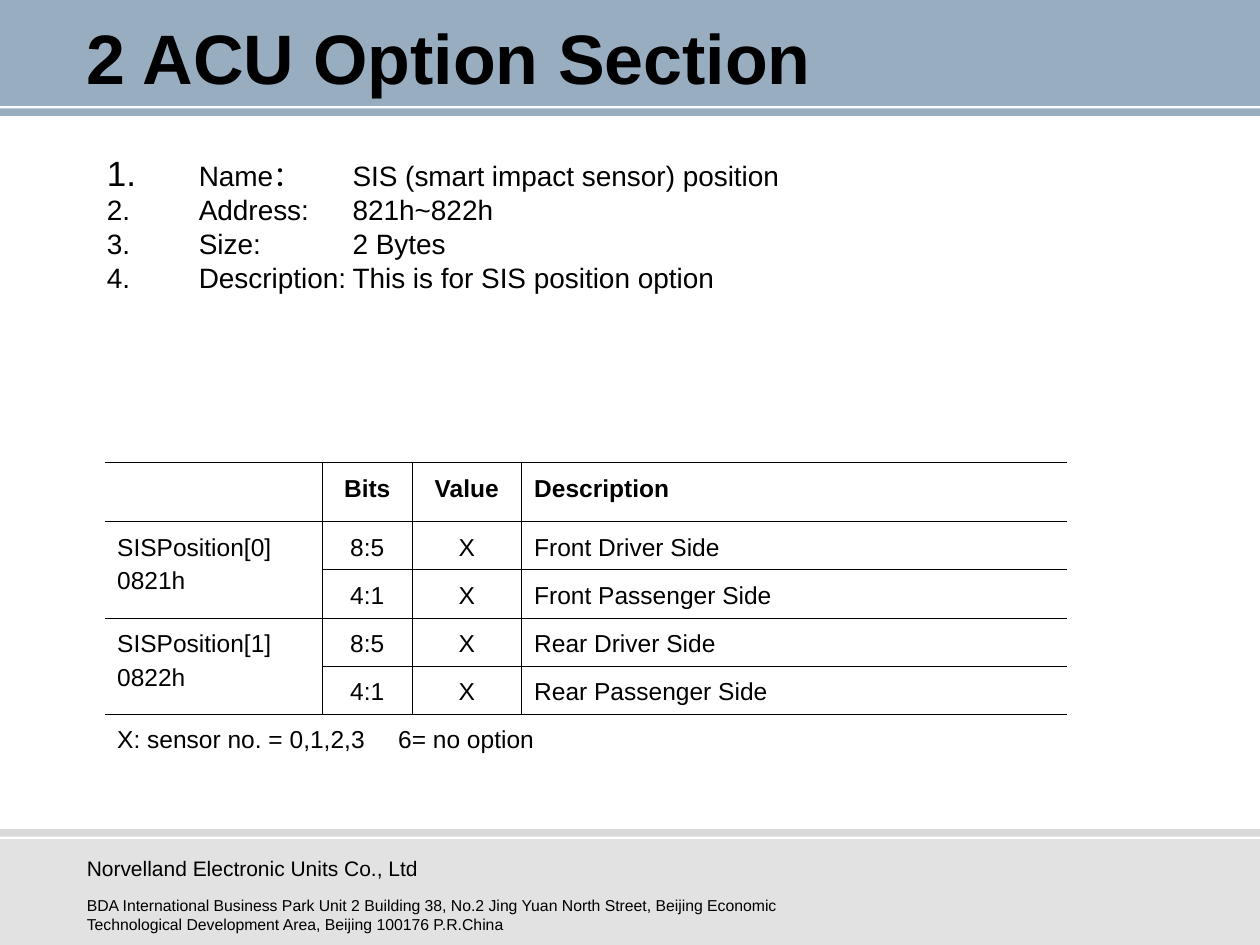
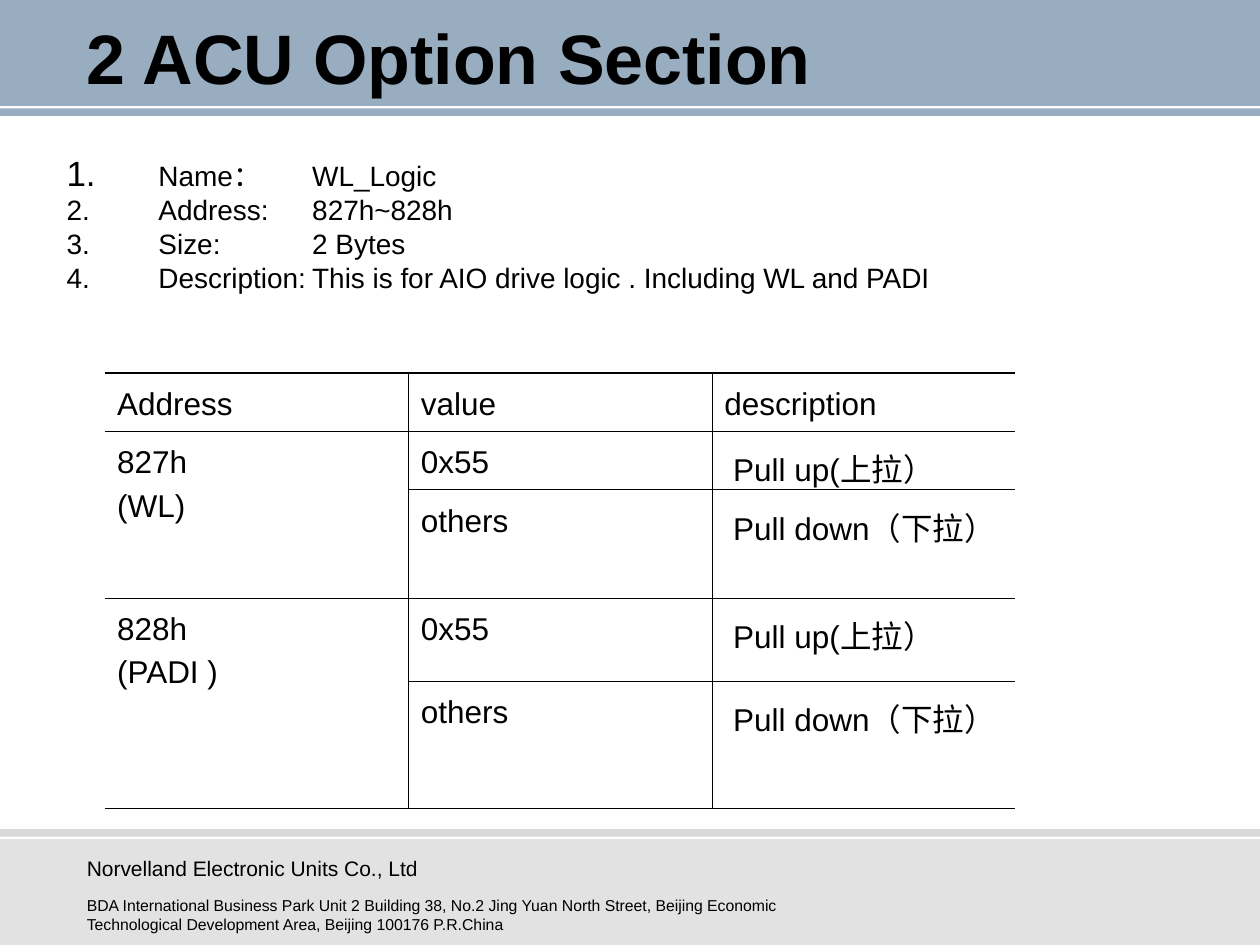
from dataclasses import dataclass

from lxml import etree
from pptx import Presentation
from pptx.dml.color import RGBColor
from pptx.enum.shapes import MSO_SHAPE
from pptx.enum.text import MSO_ANCHOR, PP_ALIGN
from pptx.oxml.ns import qn
from pptx.util import Emu, Inches, Pt

RECTANGLE = MSO_SHAPE.RECTANGLE
LEFT, CENTER = PP_ALIGN.LEFT, PP_ALIGN.CENTER
TOP, MIDDLE = MSO_ANCHOR.TOP, MSO_ANCHOR.MIDDLE
TITLE_ONLY = 5
COLUMNS, ROWS = 100, 75
SLIDE_WIDTH, SLIDE_HEIGHT = Inches(10), Inches(7.5)

TITLE = "2 ACU Option Section"
COMPANY = "Norvelland Electronic Units Co., Ltd"
ADDRESS = ("BDA International Business Park Unit 2 Building 38, No.2 Jing Yuan North Street, "
           "Beijing Economic Technological Development Area, Beijing 100176 P.R.China")


@dataclass(frozen=True)
class Theme:
    font: str = "Arial"
    ink: str = "000000"
    navy: str = "003366"
    silver: str = "C0C0C0"
    title: int = 40
    fields: int = 16
    company: int = 12
    address: int = 9
    thin: float = 0.45
    thick: float = 1.08


THEME = Theme()


def grid(left, top, width, height):
    """Turn grid columns and rows into slide lengths."""
    column, row = SLIDE_WIDTH / COLUMNS, SLIDE_HEIGHT / ROWS
    return [Emu(round(value)) for value in
            (left * column, top * row, width * column, height * row)]


def add_element(parent, tag, **attributes):
    element = etree.SubElement(parent, qn(tag))
    for name, value in attributes.items():
        element.set(name, str(value))
    return element


def number_paragraph(para, hanging, scale):
    """Give a paragraph an automatic number, sized in percent of its text."""
    properties = para._p.get_or_add_pPr()
    properties.set("marL", str(Inches(hanging)))
    properties.set("indent", str(-Inches(hanging)))
    add_element(properties, "a:buSzPct", val=scale * 1000)
    add_element(properties, "a:buFont", typeface=THEME.font)
    add_element(properties, "a:buAutoNum", type="arabicPeriod")


def add_tab_stop(para, position):
    stops = add_element(para._p.get_or_add_pPr(), "a:tabLst")
    add_element(stops, "a:tab", pos=Inches(position), algn="l")


def write(frame, text, size, bold=False, align=LEFT, anchor=TOP, gap=0,
          line_spacing=None, tab=None, hanging=None, first_scale=100):
    """Fill a text frame, one paragraph per line of text."""
    frame.word_wrap = True
    frame.vertical_anchor = anchor
    for index, line in enumerate(text.split("\n")):
        para = frame.add_paragraph() if index else frame.paragraphs[0]
        para.alignment = align
        para.space_before = Pt(gap if index else 0)
        if line_spacing:
            para.line_spacing = line_spacing
        if hanging:
            number_paragraph(para, hanging, 100 if index else first_scale)
        if tab:
            add_tab_stop(para, tab)
        span = para.add_run()
        span.text = line
        span.font.name = THEME.font
        span.font.size = Pt(size)
        span.font.bold = bold
        span.font.color.rgb = RGBColor.from_string(THEME.ink)


def add_text(page, place, text, **style):
    box = page.shapes.add_textbox(*grid(*place))
    write(box.text_frame, text, **style)
    return box


def add_band(page, top, height, color, opacity):
    band = page.shapes.add_shape(RECTANGLE, *grid(0, top, COLUMNS, height))
    band.shadow.inherit = False
    band.line.fill.background()
    band.fill.solid()
    band.fill.fore_color.rgb = RGBColor.from_string(color)
    color_element = band.element.spPr.find(qn("a:solidFill"))[0]
    add_element(color_element, "a:alpha", val=opacity * 1000)
    return band


def furnish_layout(page):
    """Build the bands and the address, then hand them to the page's layout."""
    shared = [add_band(page, *band) for band in (
        (0, 8.4, THEME.navy, 40),
        (66.6, 8.4, THEME.silver, 46),
        (65.8, 0.6, THEME.silver, 60),
        (8.6, 0.6, THEME.navy, 40),
    )]
    shared.append(add_text(page, (5.9, 70.6, 63.8, 4.4), ADDRESS, size=THEME.address))
    for shape in shared:
        page.slide_layout.shapes.element.append(shape.element)


def add_page(deck):
    page = deck.slides.add_slide(deck.slide_layouts[TITLE_ONLY])
    title = page.shapes.title
    title.left, title.top, title.width, title.height = grid(5.9, 1.3, 88.2, 6.3)
    write(title.text_frame, TITLE, size=THEME.title, bold=True, anchor=MIDDLE)
    add_text(page, (5.9, 67.4, 63.8, 3.1), COMPANY, size=THEME.company)
    return page


def add_fields(page, place, fields):
    """Add the numbered list of labels with their values in a second column."""
    text = "\n".join(f"{label}\t{value}" for label, value in fields)
    add_text(page, place, text, size=THEME.fields, gap=4, line_spacing=0.8,
             tab=1.95, hanging=0.73, first_scale=125)


def set_borders(cell, widths):
    """Draw the sides named in widths (L, R, T, B) and clear the others."""
    properties = cell._tc.get_or_add_tcPr()
    for side in "LRTB":
        line = add_element(properties, f"a:ln{side}", w=Pt(widths.get(side, 0)))
        if side in widths:
            fill = add_element(line, "a:solidFill")
            add_element(fill, "a:srgbClr", val=THEME.ink)
        else:
            add_element(line, "a:noFill")


def add_grid_table(page, place, widths, heights, rows, spans, size, gap, top_line,
                   centered=(), bold_header=False, note=False, tab=None, inset=None):
    """Add an open-sided ruled table; a note row has a line only above it."""
    table = page.shapes.add_table(len(rows), len(widths), *grid(*place)).table
    table.first_row = table.horz_banding = False
    for column, width in zip(table.columns, widths):
        column.width = Inches(width)
    for row, height in zip(table.rows, heights):
        row.height = Inches(height)
    for first_row, first_column, last_row, last_column in spans:
        table.cell(first_row, first_column).merge(table.cell(last_row, last_column))
    last = len(widths) - 1
    for r, row in enumerate(rows):
        is_note = note and r == len(rows) - 1
        for c, text in enumerate(row):
            cell = table.cell(r, c)
            borders = {"T": THEME.thin if r else top_line}
            if not is_note:
                borders["B"] = THEME.thin
                if c > 0:
                    borders["L"] = THEME.thin
                if c < last:
                    borders["R"] = THEME.thin
            set_borders(cell, borders)
            cell.fill.background()
            if text is None:
                continue
            if inset and r and c == last:
                cell.margin_left = Inches(inset)
            cell.margin_top = Inches(0.05) + Pt(gap)
            write(cell.text_frame, text, size=size, gap=gap,
                  bold=bold_header and r == 0,
                  align=CENTER if c in centered else LEFT,
                  tab=tab if is_note else None)


def add_sensor_position_page(deck):
    page = add_page(deck)
    add_fields(page, (7.5, 12.6, 84.4, 11.8), [
        ("Name：", "SIS (smart impact sensor) position"),
        ("Address:", "821h~822h"),
        ("Size:", "2 Bytes"),
        ("Description:", "This is for SIS position option"),
    ])
    rows = [
        ("", "Bits", "Value", "Description"),
        ("SISPosition[0]\n0821h", "8:5", "X", "Front Driver Side"),
        (None, "4:1", "X", "Front Passenger Side"),
        ("SISPosition[1]\n0822h", "8:5", "X", "Rear Driver Side"),
        (None, "4:1", "X", "Rear Passenger Side"),
        ("X: sensor no. = 0,1,2,3\t6= no option", None, None, None),
    ]
    add_grid_table(page, (8.3, 36.7, 76.4, 22.7), (1.73, 0.71, 0.87, 4.33),
                   [0.47] + [0.36] * 5, rows,
                   spans=[(1, 0, 2, 0), (3, 0, 4, 0), (5, 0, 5, 3)],
                   size=14, gap=3.5, top_line=THEME.thin, centered=(1, 2),
                   bold_header=True, note=True, tab=2.23)
    return page


def add_drive_logic_page(deck):
    page = add_page(deck)
    add_fields(page, (4.3, 12.6, 89, 16.5), [
        ("Name：", "WL_Logic"),
        ("Address:", "827h~828h"),
        ("Size:", "2 Bytes"),
        ("Description:", "This is for AIO drive logic . Including WL and PADI"),
    ])
    rows = [("Address", "value", "description")]
    for address in ("827h\n(WL)", "828h\n(PADI )"):
        rows += [(address, "0x55", "Pull up(上拉）"),
                 (None, "others", "Pull down（下拉）")]
    add_grid_table(page, (8.3, 29.6, 72.4, 34.1), [2.41] * 3,
                   (0.41, 0.46, 0.86, 0.66, 1.01), rows,
                   spans=[(1, 0, 2, 0), (3, 0, 4, 0)],
                   size=18, gap=4.5, top_line=THEME.thick, inset=0.17)


def main():
    deck = Presentation()
    deck.slide_width, deck.slide_height = SLIDE_WIDTH, SLIDE_HEIGHT
    furnish_layout(add_sensor_position_page(deck))
    add_drive_logic_page(deck)
    deck.save("out.pptx")


if __name__ == "__main__":
    main()
